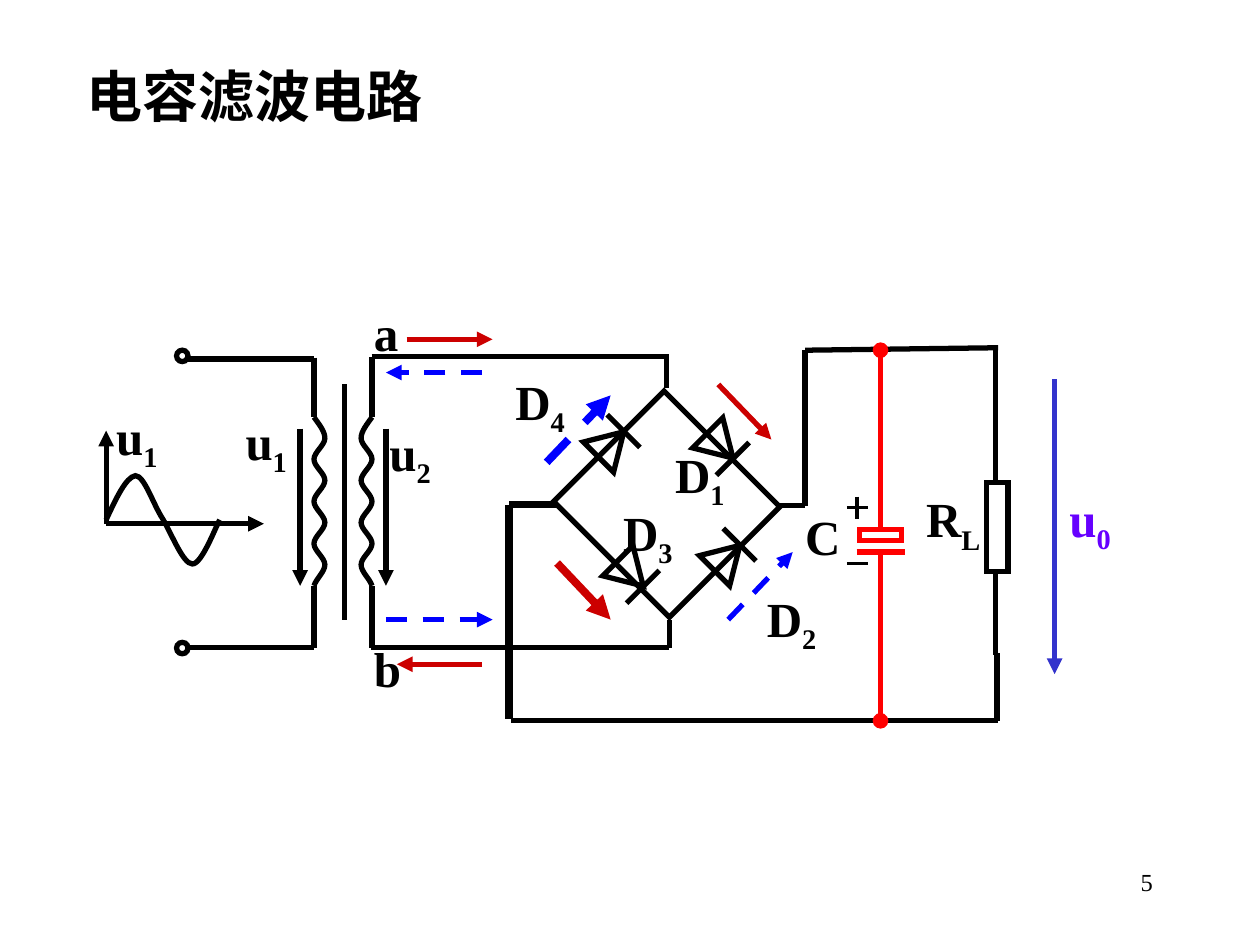
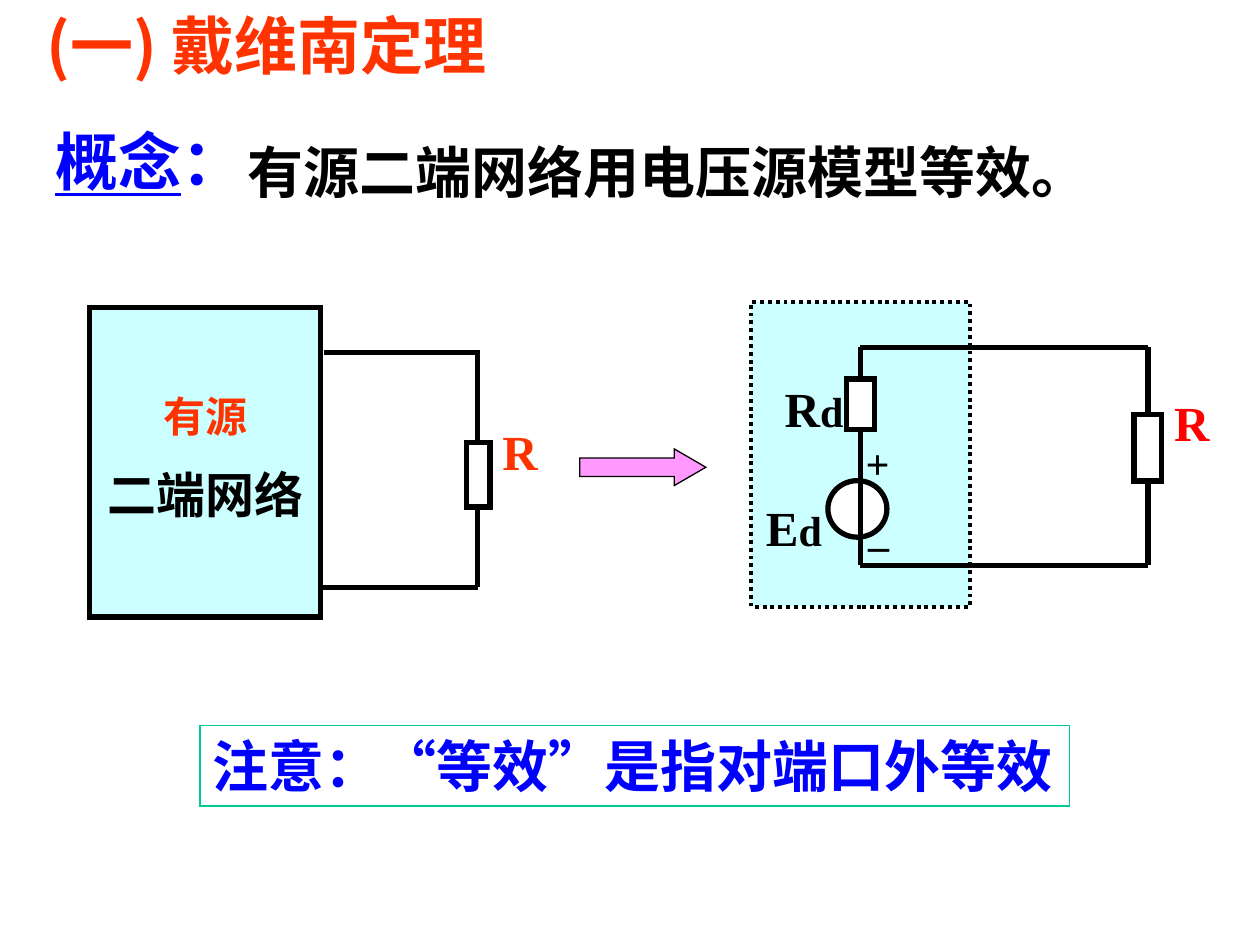
from dataclasses import dataclass

from lxml.etree import SubElement
from pptx import Presentation
from pptx.dml.color import RGBColor
from pptx.enum.dml import MSO_LINE
from pptx.enum.shapes import MSO_CONNECTOR, MSO_SHAPE
from pptx.enum.text import MSO_ANCHOR, MSO_AUTO_SIZE, PP_ALIGN
from pptx.oxml.ns import qn
from pptx.slide import Slide
from pptx.util import Cm, Pt

BLACK = RGBColor(0x00, 0x00, 0x00)
NEAR_BLACK = RGBColor(0x01, 0x00, 0x00)
WHITE = RGBColor(0xFF, 0xFF, 0xFF)
RED = RGBColor(0xFF, 0x00, 0x00)
DARK_RED = RGBColor(0xCC, 0x00, 0x00)
ORANGE = RGBColor(0xFF, 0x33, 0x00)
BLUE = RGBColor(0x00, 0x00, 0xFF)
INDIGO = RGBColor(0x33, 0x33, 0xCC)
VIOLET = RGBColor(0x66, 0x00, 0xFF)
CYAN = RGBColor(0xCC, 0xFF, 0xFF)
PINK = RGBColor(0xFF, 0x99, 0xFF)
TEAL = RGBColor(0x00, 0xCC, 0x99)

LATIN = "Times New Roman"
CHINESE = "Noto Sans CJK SC"
WIRE = 3
THICK = 4.5
LABEL_WIDTH = 1.6


def apply(target, formats):
    for name, value in formats.items():
        setattr(target, name, value)


def add_run(paragraph, text, color=BLACK, size=28, baseline=None, **extra):
    run = paragraph.add_run()
    run.text = text
    apply(run.font, {"name": LATIN, "size": Pt(size), "bold": True, **extra})
    run.font.color.rgb = color
    properties = run._r.get_or_add_rPr()
    SubElement(properties, qn("a:ea"), typeface=CHINESE)
    if baseline:
        properties.set("baseline", str(baseline))


def style_line(line, color, width, dash=None):
    line.color.rgb = color
    line.width = Pt(width)
    if dash:
        line.dash_style = dash
    SubElement(line._get_or_add_ln(), qn("a:miter"), lim="800000")


def bend_segments(outline):
    """Turn each three straight segments of a freeform into one Bezier curve."""
    route = outline._element.find(".//" + qn("a:path"))
    segments = route.findall(qn("a:lnTo"))
    for first in range(0, len(segments), 3):
        bezier = SubElement(route, qn("a:cubicBezTo"))
        for segment in segments[first:first + 3]:
            bezier.append(segment[0])
            route.remove(segment)


@dataclass
class Region:
    """Draws on a slide in centimetres from the top left corner of a box."""
    slide: Slide
    left: float
    top: float

    def place(self, x, y):
        return Cm(self.left + x), Cm(self.top + y)

    def line(self, x1, y1, x2, y2, color=BLACK, width=WIRE, dash=None, end=None):
        connector = self.slide.shapes.add_connector(
            MSO_CONNECTOR.STRAIGHT, *self.place(x1, y1), *self.place(x2, y2))
        style_line(connector.line, color, width, dash)
        if end:
            SubElement(connector.line._get_or_add_ln(), qn("a:tailEnd"), type=end)
        SubElement(connector._element.spPr, qn("a:effectLst"))

    def arrow(self, *ends, **style):
        self.line(*ends, end="triangle", **style)

    def shape(self, kind, x, y, width, height, fill=None, color=BLACK,
              weight=WIRE, dash=None, rotation=0):
        shape = self.slide.shapes.add_shape(
            kind, *self.place(x, y), Cm(width), Cm(height))
        shape.shadow.inherit = False
        shape.rotation = rotation
        if fill is None:
            shape.fill.background()
        else:
            shape.fill.solid()
            shape.fill.fore_color.rgb = fill
        style_line(shape.line, color, weight, dash)
        return shape

    def resistor(self, x, y, width, height):
        self.shape(MSO_SHAPE.RECTANGLE, x, y, width, height, fill=WHITE)

    def curve(self, points):
        """Smooth line through a start point and triples of Bezier points."""
        start, *rest = [self.place(x, y) for x, y in points]
        builder = self.slide.shapes.build_freeform(*start)
        builder.add_line_segments(rest, close=False)
        outline = builder.convert_to_shape()
        bend_segments(outline)
        outline.shadow.inherit = False
        outline.fill.background()
        style_line(outline.line, BLACK, WIRE)

    def label(self, x, y, text, suffix="", color=BLACK, size=28, width=LABEL_WIDTH,
              height=1.45, align=PP_ALIGN.LEFT, suffix_format=None):
        """Text with an optional second run, a subscript unless formatted otherwise."""
        box = self.slide.shapes.add_textbox(*self.place(x, y), Cm(width), Cm(height))
        box.text_frame.word_wrap = width >= LABEL_WIDTH
        paragraph = box.text_frame.paragraphs[0]
        paragraph.alignment = align
        add_run(paragraph, text, color, size)
        if suffix:
            add_run(paragraph, suffix, color,
                    **(suffix_format or {"size": size, "baseline": -25000}))
        return box


def add_title(slide, text, left, top, width, height, **font):
    title = slide.shapes.title
    apply(title, {"left": Cm(left), "top": Cm(top),
                  "width": Cm(width), "height": Cm(height)})
    apply(title.text_frame, {"word_wrap": True, "auto_size": MSO_AUTO_SIZE.NONE,
                             "vertical_anchor": MSO_ANCHOR.TOP})
    paragraph = title.text_frame.paragraphs[0]
    paragraph.alignment = PP_ALIGN.LEFT
    add_run(paragraph, text, **font)


def draw_mains_voltage(box):
    box.arrow(0, 1.88, 0, 0)
    box.arrow(0, 1.88, 3.18, 1.88)
    box.curve([(0, 1.8), (0.2, 1.37), (0.4, 0.94), (0.59, 0.91),
               (0.77, 0.91), (0.94, 1.47), (1.14, 1.78),
               (1.32, 2.08), (1.55, 2.69), (1.74, 2.69),
               (1.93, 2.69), (2.2, 1.96), (2.29, 1.8)])
    box.label(-0.05, -0.61, "u", "1")


def coil_points(x, depth, top, half_turn):
    """Bezier points of four turns that swing from x by depth and back."""
    pull = half_turn / 3
    points = [(x, top), (x + depth * 0.45, top + pull)]
    for i in range(1, 9):
        edge, y = x + depth * (i % 2), top + i * half_turn
        points += [(edge, y - pull), (edge, y), (edge, y + pull)]
    points[-3] = (x + depth * 0.2, points[-3][1])
    return points[:-1]


def draw_transformer(box):
    primary, secondary = 2.77, 3.94
    coil_top, coil_bottom = 1.35, 4.75
    wire_bottom = 6.0
    for terminal_y, wire_y in ((0, 0.18), (5.89, wire_bottom)):
        box.line(0.23, wire_y, primary, wire_y)
        box.shape(MSO_SHAPE.OVAL, 0, terminal_y, 0.23, 0.23)
    for x, depth, wire_top, arrow_x in ((primary, 0.22, 0.15, 2.49),
                                        (secondary, -0.22, 0.13, 4.22)):
        box.curve(coil_points(x, depth, coil_top, (coil_bottom - coil_top) / 8))
        box.line(x, wire_top, x, coil_top)
        box.line(x, coil_bottom, x, wire_bottom)
        box.arrow(arrow_x, 1.58, arrow_x, coil_bottom)
    box.line(3.38, 0.69, 3.38, 5.44)
    box.label(1.14, 1.11, "u", "1")
    box.label(4.04, 1.33, "u", "2")


def draw_diode(box, x, y, slope):
    """Diode centred on x, y that points right and down (1) or right and up (-1)."""
    width, height = 0.86, 0.72
    box.shape(MSO_SHAPE.ISOSCELES_TRIANGLE, x - width / 2, y - height / 2,
              width, height, rotation=90 + 45 * slope)
    bar_x, bar_y, half = x + 0.25, y + 0.27 * slope, 0.33
    box.line(bar_x - half, bar_y + slope * half, bar_x + half, bar_y - slope * half)


def draw_bridge(box):
    wires = [(0, 0, 6, 0), (-0.02, 5.87, 6, 5.87), (5.95, -0.03, 5.95, 0.63),
             (6, 5.87, 6, 5.31), (8.16, 3, 8.74, 3), (2.82, 7.34, 12.63, 7.34)]
    for wire in wires:
        box.line(*wire)
    box.line(3.74, 2.98, 2.77, 2.98, width=THICK)
    box.line(2.77, 3, 2.77, 7.31, width=THICK)
    box.shape(MSO_SHAPE.RECTANGLE, 4.3, 1.4, 3.3, 3.15, rotation=45)

    diodes = [("1", 7.03, 1.79, 1, 5.87, 1.65), ("2", 7.17, 4.06, -1, 7.72, 4.54),
              ("3", 5.22, 4.37, 1, 4.82, 2.82), ("4", 4.83, 1.77, -1, 2.65, 0.17)]
    for number, x, y, slope, label_x, label_y in diodes:
        draw_diode(box, x, y, slope)
        box.label(label_x, label_y, "D", number)

    positive_half = [(0.71, -0.35, 2.44, -0.35, WIRE), (2.23, 6.2, 0.51, 6.2, WIRE),
                     (6.99, 0.56, 8.06, 1.67, WIRE), (3.74, 4.16, 4.82, 5.3, THICK)]
    negative_half = [(2.23, 0.32, 0.29, 0.32, WIRE), (0.29, 5.3, 2.44, 5.3, WIRE),
                     (7.19, 5.3, 8.49, 3.94, WIRE), (3.53, 2.13, 4.82, 0.78, THICK)]
    for *ends, width in positive_half:
        box.arrow(*ends, color=DARK_RED, width=width)
    for *ends, width in negative_half:
        box.arrow(*ends, color=BLUE, width=width, dash=MSO_LINE.DASH)
    box.label(-0.2, -1.22, "a", width=1.02)
    box.label(-0.2, 5.56, "b", width=1.07)


def draw_filter_and_load(box):
    bottom, capacitor_x = 7.47, 1.52
    box.line(0, 0, 3.89, -0.05)
    box.line(0, 0, 0, 3.15)
    box.line(3.84, -0.03, 3.84, 6.15)
    box.line(3.87, bottom, 3.87, 6.1)
    box.resistor(3.66, 2.67, 0.43, 1.8)
    box.label(2.19, 2.67, "R", "L", width=2.92)

    box.shape(MSO_SHAPE.RECTANGLE, 1.09, 3.61, 0.86, 0.23, color=RED)
    box.line(1.04, 4.07, 2.01, 4.07, color=RED)
    box.line(capacitor_x, 4.07, capacitor_x, bottom, color=RED, end="oval")
    box.line(capacitor_x, 3.61, capacitor_x, 0, color=RED, end="oval")
    box.label(-0.25, 3.02, "C", width=1.22)
    for sign in ((0.84, 3.17, 1.27, 3.17), (1.05, 2.95, 1.05, 3.4),
                 (0.84, 4.3, 1.27, 4.3)):
        box.line(*sign, width=2.25)

    box.arrow(5.03, 0.59, 5.03, 6.53, color=INDIGO)
    box.label(5.08, 2.66, "u", "0", color=VIOLET, width=2.54)


def draw_active_network(box):
    width, right, top, bottom = 4.67, 7.83, 0.91, 5.64
    network = box.shape(MSO_SHAPE.RECTANGLE, 0, 0, width, 6.24, fill=CYAN)
    frame = network.text_frame
    apply(frame, {"word_wrap": False, "vertical_anchor": MSO_ANCHOR.MIDDLE,
                  "margin_bottom": Cm(0.75)})
    lines = [(frame.paragraphs[0], "有源", ORANGE, 24),
             (frame.add_paragraph(), "二端网络", NEAR_BLACK, 28)]
    for paragraph, text, color, size in lines:
        apply(paragraph, {"alignment": PP_ALIGN.CENTER, "line_spacing": 1.4})
        add_run(paragraph, text, color, size)
    box.line(4.73, top, right + 0.05, top)
    box.line(width, bottom, right, bottom)
    box.line(right, top - 0.06, right, bottom)
    box.resistor(7.6, 2.72, 0.48, 1.3)
    box.label(8.08, 2.18, "R", color=ORANGE, width=1.22)


def draw_voltage_source_model(box):
    left, right, top, bottom = 2.2, 8, 0.91, 5.31
    box.shape(MSO_SHAPE.RECTANGLE, 0, 0, 4.42, 6.14, fill=CYAN,
              weight=2.25, dash=MSO_LINE.ROUND_DOT)
    box.shape(MSO_SHAPE.OVAL, 1.55, 3.6, 1.19, 1.14, fill=WHITE)
    for y in (top, bottom):
        box.line(left, y, right, y)
    for x in (left, right):
        box.line(x, top, x, bottom)
    box.resistor(1.93, 1.55, 0.56, 1.02)
    box.resistor(7.72, 2.26, 0.56, 1.35)
    small = {"size": 24}
    box.label(0.05, 3.81, "E", "d", width=1.83, suffix_format=small)
    box.label(0.43, 1.42, "R", "d", width=1.98, suffix_format=small)
    box.label(2.06, 2.61, "+", size=24, width=0.99, height=1.27)
    box.label(2.11, 3.96, "_", size=24, width=0.94, height=1.27)
    box.label(8.28, 1.7, "R", color=RED, width=1.22)


def draw_definition(box):
    term = box.label(0, 0, "概念", "：", color=BLUE, size=36, width=4.34,
                     height=1.78, suffix_format={"size": 36})
    term.text_frame.paragraphs[0].runs[0].font.underline = True
    box.label(3.88, 0.3, "有源二端网络用电压源模型等效。", size=32,
              width=17.75, height=1.6)


def draw_note(box):
    note = box.shape(MSO_SHAPE.RECTANGLE, 0, 0, 17.53, 1.63, color=TEAL, weight=0.75)
    apply(note.text_frame, {"word_wrap": False, "vertical_anchor": MSO_ANCHOR.TOP})
    paragraph = note.text_frame.paragraphs[0]
    paragraph.alignment = PP_ALIGN.LEFT
    add_run(paragraph, "注意：“等效”是指对端口外等效", BLUE, 32)


def draw_equivalence_arrow(box):
    arrow = box.shape(MSO_SHAPE.RIGHT_ARROW, 0, 0, 2.54, 0.74, fill=PINK, weight=0.75)
    arrow.adjustments[0] = 0.5
    arrow.adjustments[1] = 0.86


def build_filter_slide(slide):
    add_title(slide, "电容滤波电路", 1.48, 1.12, 7.36, 1.6, size=32)
    draw_mains_voltage(Region(slide, 2.14, 8.68))
    draw_transformer(Region(slide, 3.56, 7.06))
    draw_bridge(Region(slide, 7.49, 7.19))
    draw_filter_and_load(Region(slide, 16.23, 7.06))
    page = Region(slide, 18.21, 17.35).label(
        0, 0, "5", size=14, width=5.28, height=1.27, align=PP_ALIGN.RIGHT)
    page.text_frame.paragraphs[0].runs[0].font.bold = False


def build_thevenin_slide(slide):
    add_title(slide, "(一) 戴维南定理", 0.69, 0, 11.51, 1.78,
              color=ORANGE, size=36, name=CHINESE)
    draw_definition(Region(slide, 0.86, 2.34))
    draw_active_network(Region(slide, 1.8, 6.2))
    draw_equivalence_arrow(Region(slide, 11.69, 9.05))
    draw_voltage_source_model(Region(slide, 15.14, 6.09))
    draw_note(Region(slide, 4.03, 14.62))


def main():
    presentation = Presentation()
    apply(presentation, {"slide_width": Cm(25.4), "slide_height": Cm(19.05)})
    title_only = presentation.slide_layouts.get_by_name("Title Only")
    for build in (build_filter_slide, build_thevenin_slide):
        build(presentation.slides.add_slide(title_only))
    presentation.save("out.pptx")


if __name__ == "__main__":
    main()
